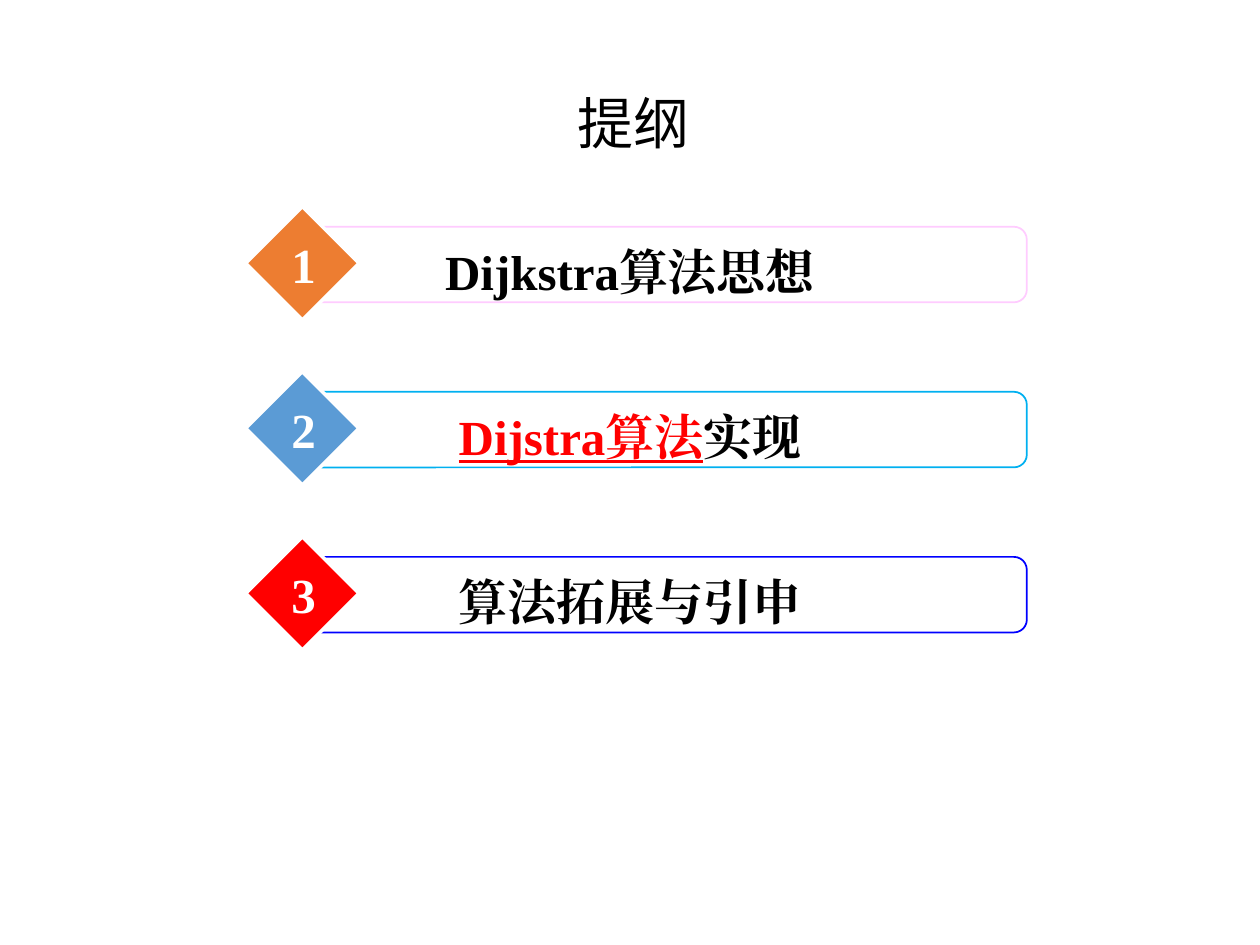
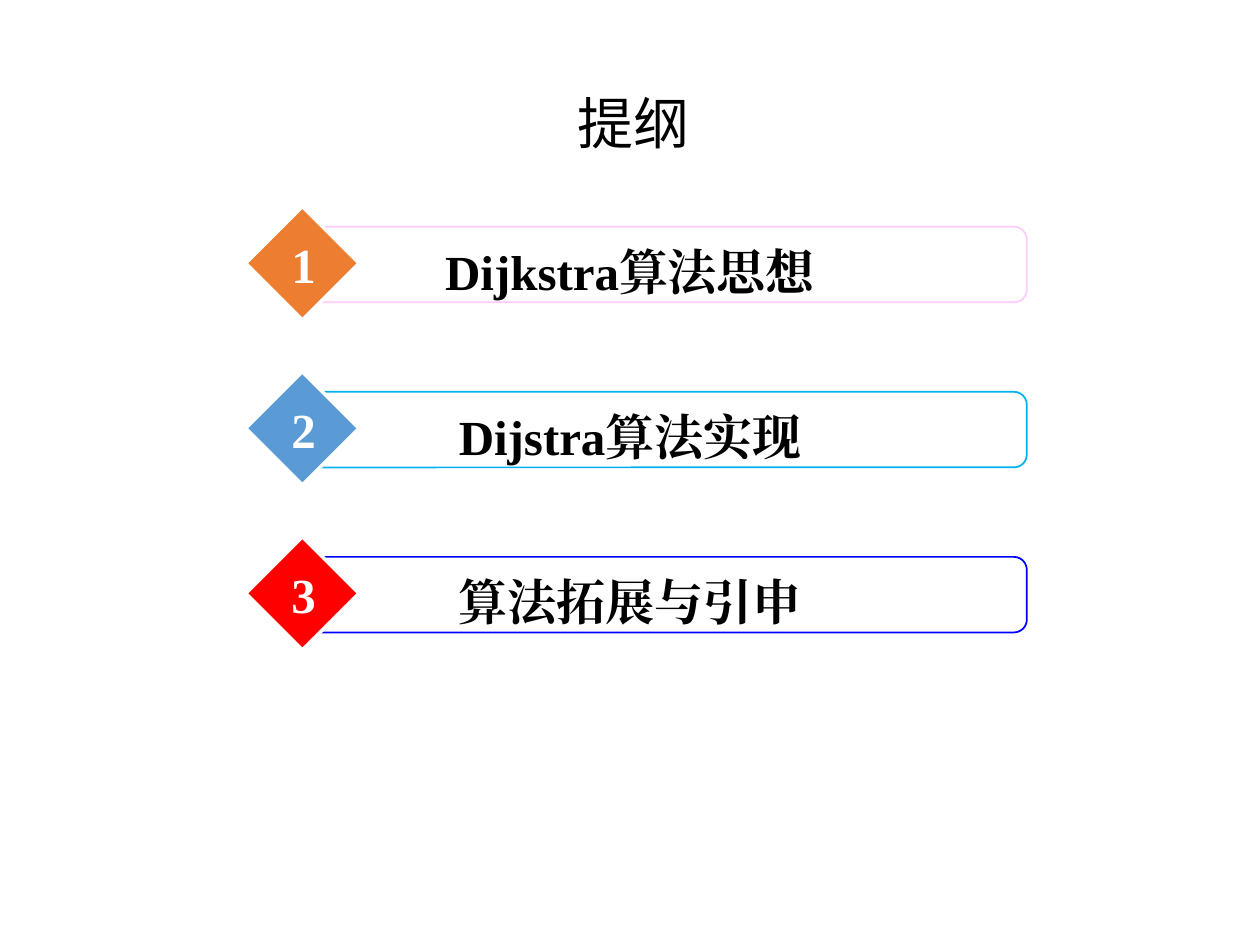
from lxml.etree import SubElement
from pptx import Presentation
from pptx.dml.color import RGBColor
from pptx.enum.shapes import MSO_SHAPE as Shape
from pptx.enum.text import MSO_ANCHOR as Anchor, MSO_AUTO_SIZE as AutoSize, PP_ALIGN as Align
from pptx.oxml.ns import qn
from pptx.util import Pt

# Shared look: 100 px to the inch
PX = 9144
COLORS = {
    "text": "000000",
    "white": "FFFFFF",
    "highlight": "FF0000",
    "orange": "ED7D31",
    "blue": "5B9BD5",
    "red": "FF0000",
    "pink_line": "FFCCFF",
    "cyan_line": "00B0F0",
    "navy_line": "0000FF",
}
TITLE_FONT = "Noto Sans CJK SC"
ITEM_FONT = "Times New Roman"
FIRST_ROW, ROW_STEP = 164, 131
ROW_STYLES = [("orange", "pink_line"), ("blue", "cyan_line"), ("red", "navy_line")]

# Outline entries: lists of (text, highlighted)
IDEA = [("Dijkstra算法思想", False)]
CODE = [("Dijstra算法实现", False)]
CODE_MARKED = [("Dijstra算法", True), ("实现", False)]
EXTENSION = [("算法拓展与引申", False)]
OUTLINES = [
    [IDEA, CODE_MARKED, EXTENSION],
    [IDEA, CODE, EXTENSION],
]


def color(name):
    return RGBColor.from_string(COLORS[name])


def px(*lengths):
    return [length * PX for length in lengths]


def add_text(shapes, place, spans, font, size, ink="text", bold=False):
    """Add a centred one-paragraph text box; highlighted spans are underlined."""
    box = shapes.add_textbox(*px(*place))
    frame = box.text_frame
    frame.word_wrap = True
    para = frame.paragraphs[0]
    para.alignment = Align.CENTER
    para.font.name, para.font.size, para.font.bold = font, Pt(size), bold
    para.font.color.rgb = color(ink)
    defaults = para._p.pPr.find(qn("a:defRPr"))
    SubElement(defaults, qn("a:ea"), typeface=font)
    for text, highlighted in spans:
        span = para.add_run()
        span.text = text
        if highlighted:
            span.font.underline = True
            span.font.color.rgb = color("highlight")
    return box


def add_panel(shapes, kind, place, fill, line, width):
    panel = shapes.add_shape(kind, *px(*place))
    panel.shadow.inherit = False
    panel.fill.solid()
    panel.fill.fore_color.rgb = color(fill)
    panel.line.color.rgb = color(line)
    panel.line.width = Pt(width)
    return panel


def add_title(page, text):
    box = add_text(page.shapes, (25, 60, 956, 80), [(text, False)], TITLE_FONT, 32)
    box.text_frame.vertical_anchor = Anchor.MIDDLE
    box.text_frame.paragraphs[0].line_spacing = 0.9


def add_row(page, index, spans):
    """Add one numbered outline entry as a group."""
    fill, line = ROW_STYLES[index]
    top = FIRST_ROW + index * ROW_STEP
    shapes = page.shapes.add_group_shape().shapes
    bar = add_panel(shapes, Shape.ROUNDED_RECTANGLE, (245, top + 16, 570, 60), "white", line, 1)
    bar.adjustments[0] = 0.17
    add_panel(shapes, Shape.DIAMOND, (195, top, 90, 90), fill, "white", 2)
    label = add_text(shapes, (275, top + 23, 450, 57), spans, ITEM_FONT, 28, bold=True)
    number = add_text(shapes, (221, top + 17, 40, 57), [(str(index + 1), False)],
                      ITEM_FONT, 28, "white", True)
    number.text_frame.word_wrap = False
    for box in (label, number):
        box.text_frame.auto_size = AutoSize.SHAPE_TO_FIT_TEXT


def main():
    deck = Presentation()
    deck.slide_width, deck.slide_height = px(1000, 750)
    for outline in OUTLINES:
        page = deck.slides.add_slide(deck.slide_layouts[6])
        add_title(page, "提纲")
        for index, spans in enumerate(outline):
            add_row(page, index, spans)
    deck.save("out.pptx")


if __name__ == "__main__":
    main()
